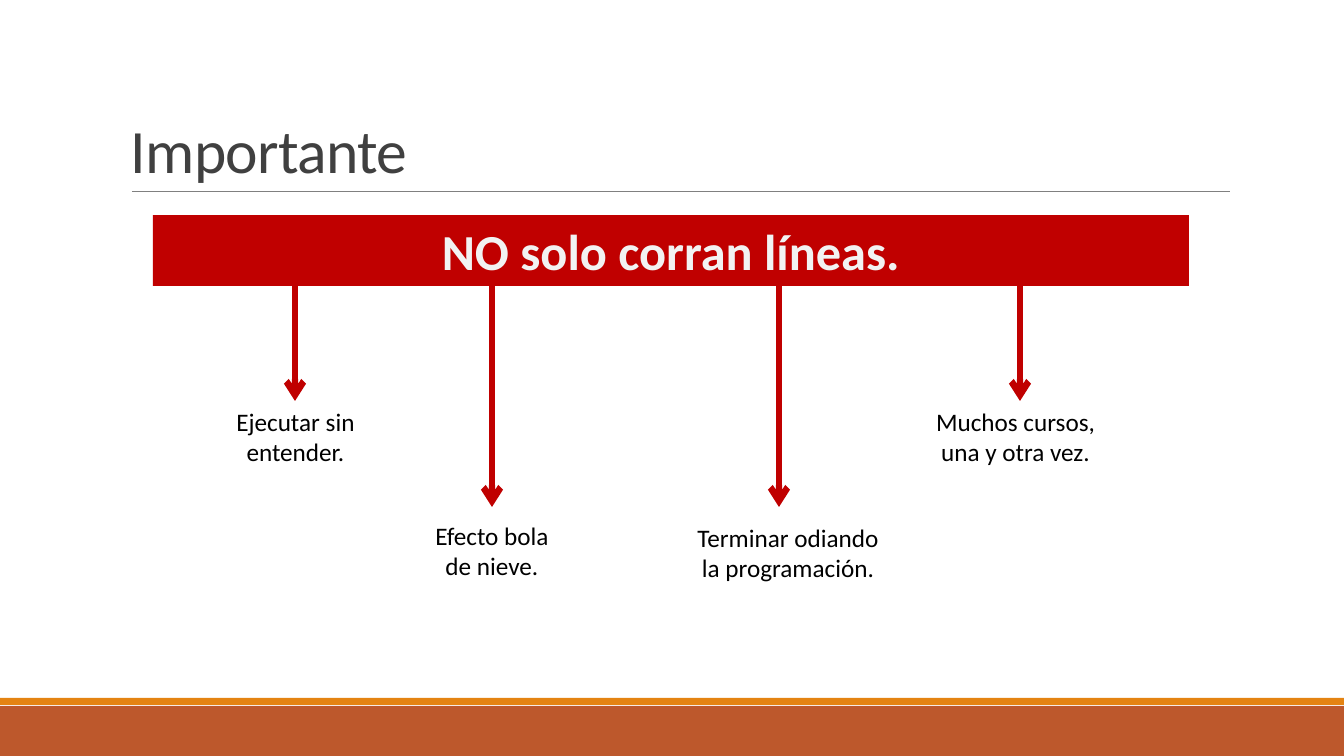
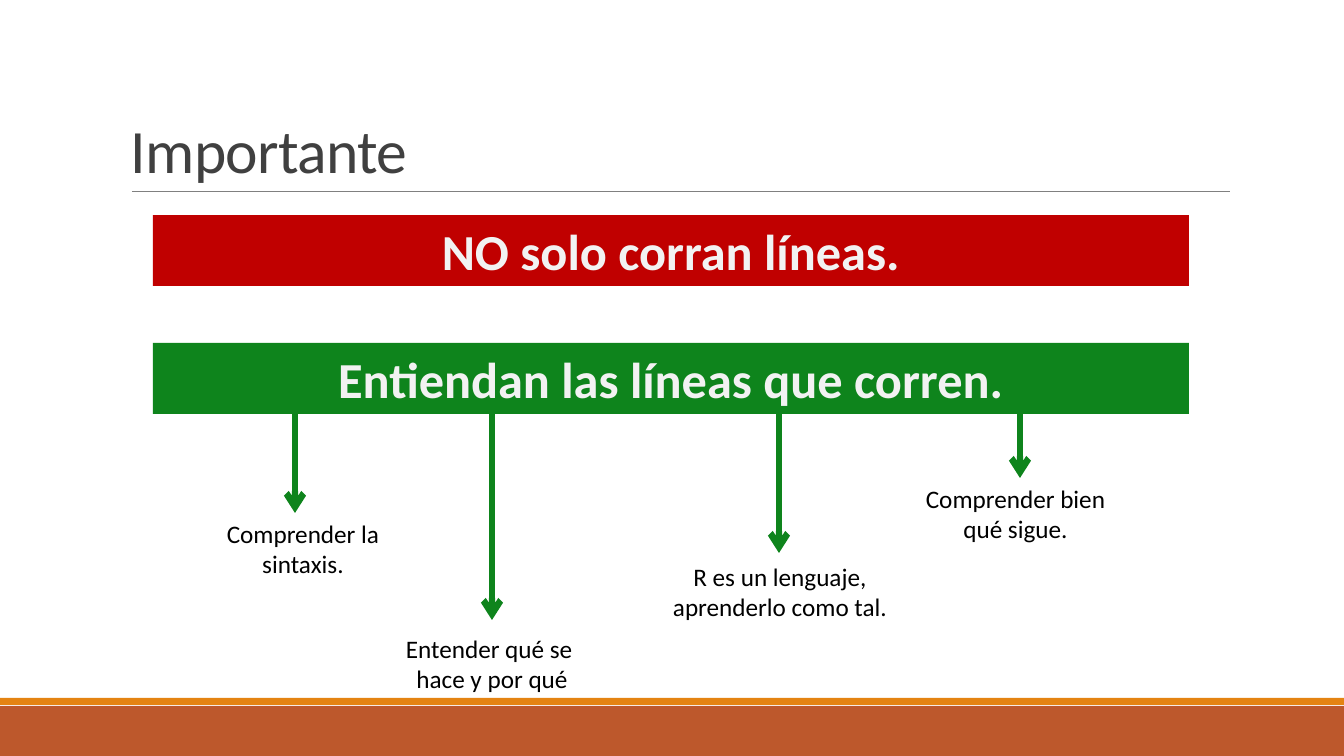
from pptx import Presentation
from pptx.dml.color import RGBColor
from pptx.enum.shapes import MSO_CONNECTOR, MSO_SHAPE
from pptx.enum.text import MSO_ANCHOR, MSO_AUTO_SIZE, PP_ALIGN
from pptx.oxml.ns import qn
from pptx.util import Emu, Pt
from lxml.etree import SubElement

SLIDE_WIDTH, SLIDE_HEIGHT = 1344, 756
SCALE = 12192000 / SLIDE_WIDTH
FONT = "Calibri"
COLORS = {
    "footer": "BD582C",
    "accent": "E48312",
    "rule": "808080",
    "title": "404040",
    "warning": "C00000",
    "advice": "0E841C",
    "banner_text": "F2F2F2",
    "text": "000000",
}
TITLE_BOX = (121, 31, 1109, 160)
WARNING_BOX = (153, 215, 1036, 71)
ADVICE_BOX = (153, 343, 1036, 71)
LABEL_HEIGHT = 71
ARROW_CENTERS = (295, 492, 779, 1020)

WARNING_BRANCHES = [
    ("Ejecutar sin\ventender.", 193, 401, 205, 285, 401),
    ("Efecto bola\vde nieve.", 397, 515, 190, 285, 507),
    ("Terminar odiando\vla programación.", 655, 517, 266, 285, 507),
    ("Muchos cursos,\vuna y otra vez.", 890, 401, 251, 285, 401),
]
ADVICE_BRANCHES = [
    ("Comprender la\vsintaxis.", 193, 513, 220, 398, 513),
    ("Entender qué se \vhace y por qué", 359, 628, 266, 398, 620),
    ("R es un lenguaje,\vaprenderlo como tal.", 616, 556, 328, 362, 553),
    ("Comprender bien\vqué sigue.", 890, 478, 251, 362, 478),
]


def px(*lengths):
    return [Emu(round(length * SCALE)) for length in lengths]


def color(name):
    return RGBColor.from_string(COLORS[name])


def write(shape, text, size, color_name, alignment=PP_ALIGN.CENTER, bold=False):
    shape.text_frame.text = text
    paragraph = shape.text_frame.paragraphs[0]
    paragraph.alignment = alignment
    for run in paragraph.runs:
        run.font.name = FONT
        run.font.size = Pt(size)
        run.font.bold = bold
        run.font.color.rgb = color(color_name)
    return paragraph


def add_block(slide, box, fill):
    shape = slide.shapes.add_shape(MSO_SHAPE.RECTANGLE, *px(*box))
    shape.shadow.inherit = False
    shape.fill.solid()
    shape.fill.fore_color.rgb = color(fill)
    shape.line.fill.background()
    return shape


def add_line(shapes, start, end, color_name, width, arrow=False):
    connector = shapes.add_connector(MSO_CONNECTOR.STRAIGHT, *px(*start, *end))
    connector.line.color.rgb = color(color_name)
    connector.line.width = Pt(width)
    properties = connector._element.spPr
    if arrow:
        SubElement(properties.find(qn("a:ln")), qn("a:tailEnd"), type="arrow")
    SubElement(properties, qn("a:effectLst"))


def add_title(slide, box, text):
    left, top, width, height = box
    shape = slide.shapes.add_textbox(*px(*box))
    shape.text_frame.word_wrap = True
    shape.text_frame.vertical_anchor = MSO_ANCHOR.BOTTOM
    paragraph = write(shape, text, 44, "title", PP_ALIGN.LEFT)
    paragraph.line_spacing = 0.85
    for run in paragraph.runs:
        run.font._element.set("spc", "-50")
    baseline = top + height
    add_line(slide.shapes, (left + 11, baseline), (left + width, baseline), "rule", 0.5)


def add_footer(slide, box):
    left, top, width, height = box
    add_block(slide, box, "footer")
    add_block(slide, (left, top - 8, width, 7), "accent")


def add_banner(slide, box, text, fill):
    shape = add_block(slide, box, fill)
    shape.text_frame.word_wrap = True
    shape.text_frame.auto_size = MSO_AUTO_SIZE.SHAPE_TO_FIT_TEXT
    write(shape, text, 36, "banner_text", bold=True)


def add_branches(slide, branches, color_name):
    for center, branch in zip(ARROW_CENTERS, branches):
        text, left, top, width, arrow_top, arrow_end = branch
        group = slide.shapes.add_group_shape()
        label = group.shapes.add_textbox(*px(left, top, width, LABEL_HEIGHT))
        label.text_frame.word_wrap = False
        label.text_frame.auto_size = MSO_AUTO_SIZE.SHAPE_TO_FIT_TEXT
        write(label, text, 18, "text")
        add_line(group.shapes, (center, arrow_top), (center, arrow_end), color_name, 4.5, arrow=True)


def add_advice_slide(presentation, branches, branch_color, banners):
    slide = presentation.slides.add_slide(presentation.slide_layouts[6])
    add_footer(slide, (0, 706, SLIDE_WIDTH, 50))
    add_title(slide, TITLE_BOX, "Importante")
    add_branches(slide, branches, branch_color)
    for box, text, fill in banners:
        add_banner(slide, box, text, fill)


def main():
    presentation = Presentation()
    presentation.slide_width, presentation.slide_height = px(SLIDE_WIDTH, SLIDE_HEIGHT)
    warning = (WARNING_BOX, "NO solo corran líneas.", "warning")
    advice = (ADVICE_BOX, "Entiendan las líneas que corren.", "advice")
    add_advice_slide(presentation, WARNING_BRANCHES, "warning", [warning])
    add_advice_slide(presentation, ADVICE_BRANCHES, "advice", [warning, advice])
    presentation.save("out.pptx")


if __name__ == "__main__":
    main()
